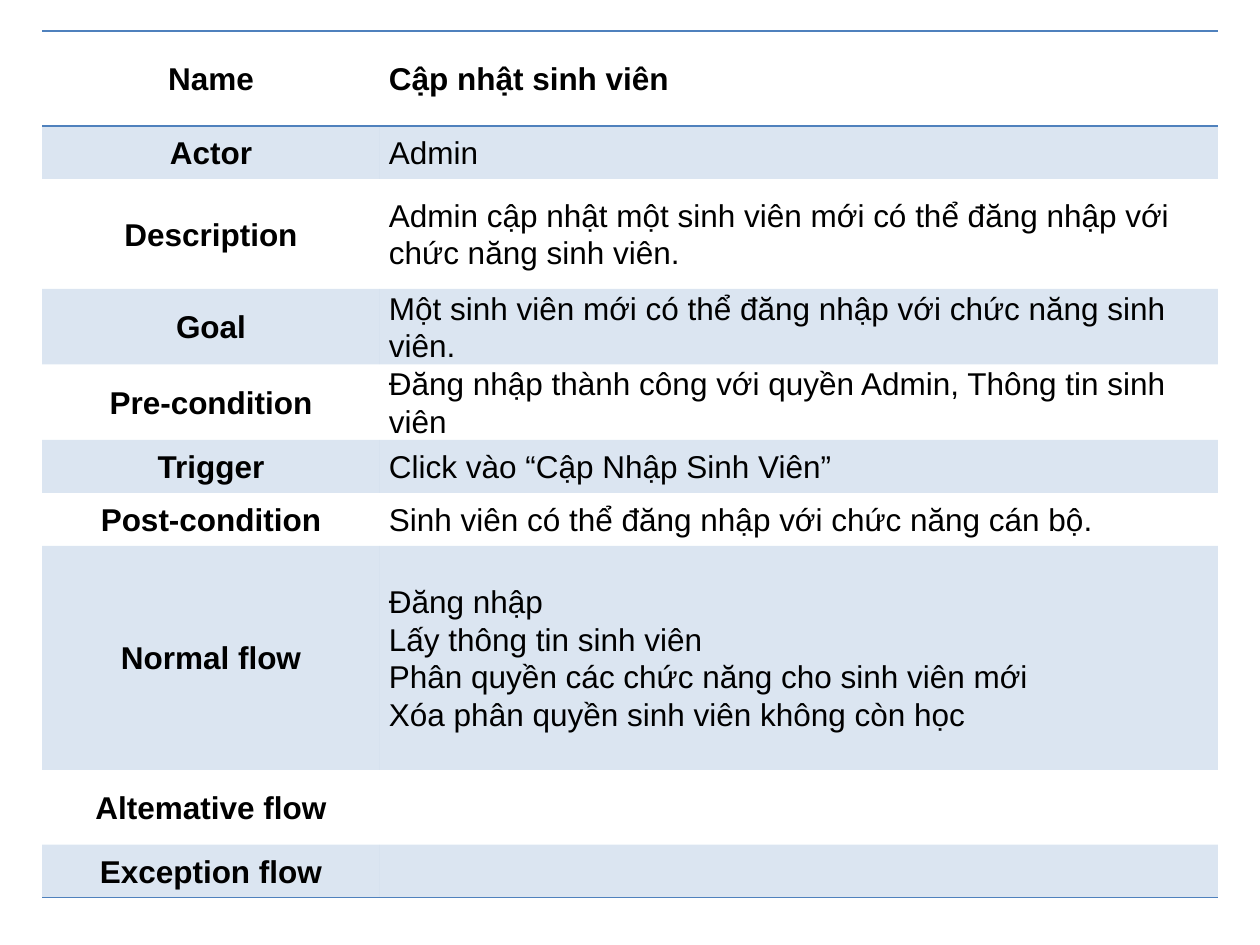
from dataclasses import dataclass

from lxml import etree
from pptx import Presentation
from pptx.dml.color import RGBColor
from pptx.enum.text import MSO_ANCHOR, PP_ALIGN
from pptx.oxml.ns import qn
from pptx.table import Table, _Cell
from pptx.util import Emu, Pt

MIDDLE = MSO_ANCHOR.MIDDLE
LEFT, CENTER = PP_ALIGN.LEFT, PP_ALIGN.CENTER
FONT, SIZE, SPACING = "Arial", 18, 1.07
BLACK, BLUE = "000000", "4F81BD"
BAND_ALPHA = 20
INSET = 9
PX_PER_INCH = 126
NO_STYLE = "{2D5ABB26-0587-4C30-8999-92F81FD0307C}"


@dataclass
class UseCaseRow:
    label: str
    lines: tuple[str, ...]
    height: int = 53


ROWS = [
    UseCaseRow("Name", ("Cập nhật sinh viên",), 95),
    UseCaseRow("Actor", ("Admin",)),
    UseCaseRow("Description", ("Admin cập nhật một sinh viên mới có thể đăng nhập với chức năng sinh viên.",), 110),
    UseCaseRow("Goal", ("Một sinh viên mới có thể đăng nhập với chức năng sinh viên.",)),
    UseCaseRow("Pre-condition", ("Đăng nhập thành công với quyền Admin, Thông tin sinh viên",)),
    UseCaseRow("Trigger", ("Click vào “Cập Nhập Sinh Viên”",)),
    UseCaseRow("Post-condition", ("Sinh viên có thể đăng nhập với chức năng cán bộ.",)),
    UseCaseRow("Normal flow", (
        "Đăng nhập",
        "Lấy thông tin sinh viên",
        "Phân quyền các chức năng cho sinh viên mới",
        "Xóa phân quyền sinh viên không còn học",
    ), 224),
    UseCaseRow("Altemative flow", (), 75),
    UseCaseRow("Exception flow", ()),
]
COLUMN_WIDTHS = (338, 838)


def px(n: int) -> Emu:
    return Emu(round(n * 914400 / PX_PER_INCH))


def rgb(color: str) -> RGBColor:
    return RGBColor.from_string(color)


def add_border(cell: _Cell, side: str) -> None:
    tc_pr = cell._tc.get_or_add_tcPr()
    ln = etree.SubElement(tc_pr, qn(f"a:ln{side}"), w=str(Pt(1)))
    fill = etree.SubElement(ln, qn("a:solidFill"))
    etree.SubElement(fill, qn("a:srgbClr"), val=BLUE)


def fill_cell(cell: _Cell, banded: bool) -> None:
    if not banded:
        cell.fill.background()
        return
    cell.fill.solid()
    cell.fill.fore_color.rgb = rgb(BLUE)
    color = cell._tc.tcPr.find(qn("a:solidFill")).find(qn("a:srgbClr"))
    etree.SubElement(color, qn("a:alpha"), val=str(BAND_ALPHA * 1000))


def write_cell(cell: _Cell, lines: tuple[str, ...], bold: bool, align: PP_ALIGN) -> None:
    cell.vertical_anchor = MIDDLE
    cell.margin_left = cell.margin_right = px(INSET)
    cell.margin_top = cell.margin_bottom = 0
    tf = cell.text_frame
    for i, line in enumerate(lines):
        p = tf.add_paragraph() if i else tf.paragraphs[0]
        p.alignment = align
        p.line_spacing = SPACING
        r = p.add_run()
        r.text = line
        r.font.name = FONT
        r.font.size = Pt(SIZE)
        r.font.bold = bold
        r.font.color.rgb = rgb(BLACK)


def draw_row(table: Table, index: int, row: UseCaseRow) -> None:
    table.rows[index].height = px(row.height)
    header = index == 0
    sides = "TB" if header else "B" if index == len(ROWS) - 1 else ""
    label, value = table.cell(index, 0), table.cell(index, 1)
    write_cell(label, (row.label,), True, CENTER)
    write_cell(value, row.lines, header, LEFT)
    for cell in (label, value):
        for side in sides:
            add_border(cell, side)
        fill_cell(cell, index % 2 == 1)


def main() -> None:
    prs = Presentation()
    prs.slide_width, prs.slide_height = px(1260), px(945)
    s = prs.slides.add_slide(prs.slide_layouts[6])

    # Use case table
    height = sum(row.height for row in ROWS)
    frame = s.shapes.add_table(len(ROWS), len(COLUMN_WIDTHS), px(42), px(31),
                               px(sum(COLUMN_WIDTHS)), px(height))
    table = frame.table
    table.first_row = table.horz_banding = False
    table._tbl.tblPr.find(qn("a:tableStyleId")).text = NO_STYLE
    for column, width in zip(table.columns, COLUMN_WIDTHS):
        column.width = px(width)
    for i, row in enumerate(ROWS):
        draw_row(table, i, row)

    prs.save("out.pptx")


if __name__ == "__main__":
    main()
